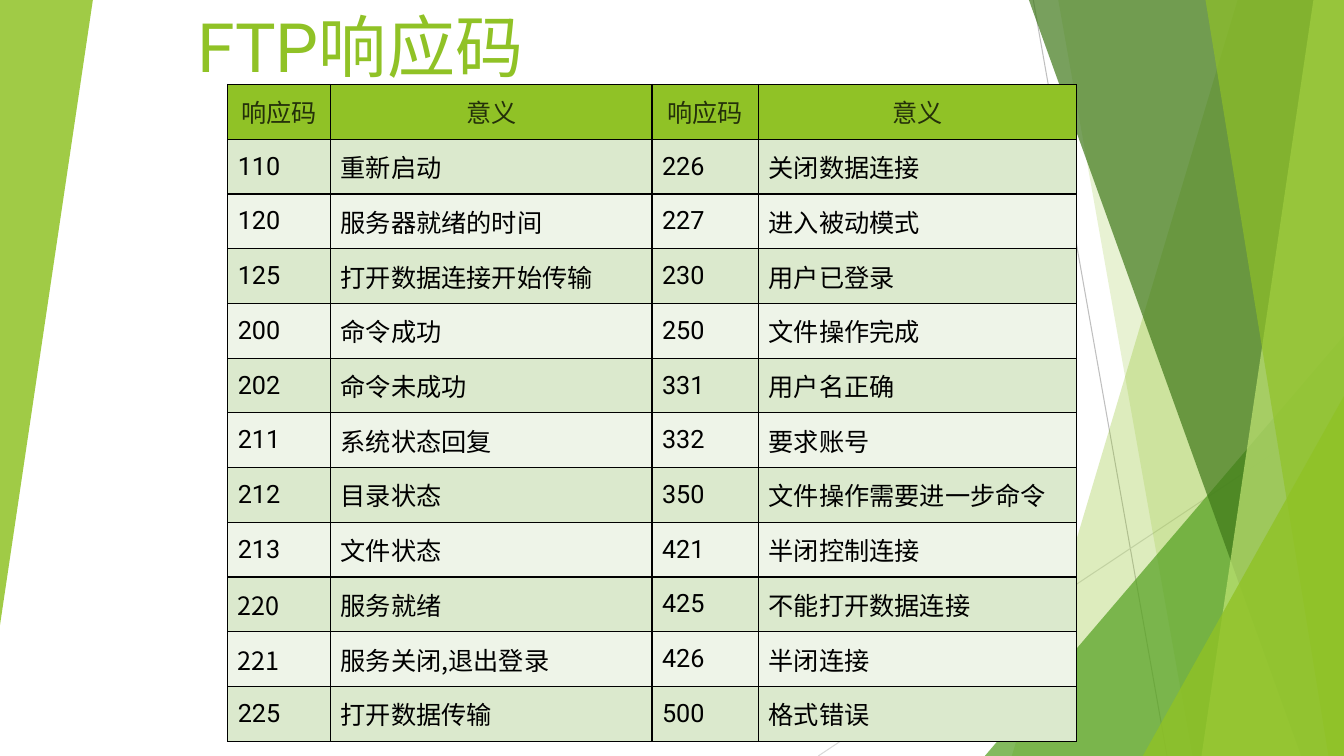
"""Build the FTP response code slide."""
import pptx
import pptx.dml.color
import pptx.enum.shapes
import pptx.enum.text
import pptx.oxml
import pptx.oxml.ns
import pptx.util
from pptx.util import Cm

COLORS = {
    "lime": "90C226", "leaf": "54A021", "forest": "3F7819", "pale": "C0E474",
    "header_text": "24300A", "black": "000000", "odd_row": "DBE9CD",
    "even_row": "EEF4E8", "gray": "BFBFBF", "light_gray": "D9D9D9",
}
LATIN, CHINESE = "Roboto", "Noto Sans CJK SC"
WIDTH, HEIGHT = 33.87, 19.05
ALIGN = pptx.enum.text.PP_ALIGN
MIDDLE = pptx.enum.text.MSO_ANCHOR.MIDDLE


def rgb(color):
    return pptx.dml.color.RGBColor.from_string(COLORS[color])


def element(tag, content="", attributes=""):
    return pptx.oxml.parse_xml(
        f'<a:{tag} {pptx.oxml.ns.nsdecls("a")} {attributes}>{content}</a:{tag}>')


def write(frame, text, size=18, color="black", font=LATIN, align=ALIGN.LEFT):
    paragraph = frame.paragraphs[0]
    paragraph.alignment = align
    run = paragraph.add_run()
    run.text = text
    run.font.size = pptx.util.Pt(size)
    run.font.name = font
    run.font.color.rgb = rgb(color)
    run.font._element.append(element("ea", attributes=f'typeface="{CHINESE}"'))


class SlideBuilder:
    def __init__(self, slide):
        self.slide = slide
        self.shapes = slide.shapes

    def paint(self, shape, color, opacity):
        shape.shadow.inherit = False
        shape.fill.solid()
        shape.fill.fore_color.rgb = rgb(color)
        shape.line.fill.background()
        shade = shape._element.spPr.find(".//" + pptx.oxml.ns.qn("a:srgbClr"))
        shade.append(element("alpha", attributes=f'val="{opacity * 1000}"'))

    def line(self, start, end, color):
        connector = self.shapes.add_connector(
            pptx.enum.shapes.MSO_CONNECTOR.STRAIGHT, *map(Cm, start + end))
        connector.line.color.rgb = rgb(color)
        connector.line.width = pptx.util.Pt(0.75)
        connector._element.spPr.append(element("effectLst"))

    def ribbon(self, top_x, bottom_x, color, opacity):
        outline = self.shapes.build_freeform(Cm(top_x), 0)
        corners = [(WIDTH, 0), (WIDTH, HEIGHT), (bottom_x, HEIGHT)]
        outline.add_line_segments([(Cm(x), Cm(y)) for x, y in corners])
        self.paint(outline.convert_to_shape(), color, opacity)

    def triangle(self, left, top, width, height, color, opacity, rotation=0):
        shape = self.shapes.add_shape(
            pptx.enum.shapes.MSO_SHAPE.ISOSCELES_TRIANGLE,
            Cm(left), Cm(top), Cm(width), Cm(height))
        shape.adjustments[0] = 1
        shape.rotation = rotation
        self.paint(shape, color, opacity)

    def corner_triangle(self, left, top, color, opacity):
        self.triangle(left, top, WIDTH - left, HEIGHT - top, color, opacity)

    def title(self, text, left, top, width, height):
        frame = self.shapes.add_textbox(
            Cm(left), Cm(top), Cm(width), Cm(height)).text_frame
        frame.word_wrap = True
        frame.vertical_anchor = MIDDLE
        frame.margin_top, frame.margin_bottom = Cm(0.51), 0
        write(frame, text, size=48.6, color="lime")

    def cell(self, cell, text, fill, **style):
        cell.vertical_anchor = MIDDLE
        properties = cell._tc.get_or_add_tcPr()
        for side in "LRTB":
            ink = f'<a:solidFill><a:srgbClr val="{COLORS["black"]}"/></a:solidFill>'
            properties.append(element("ln" + side, ink, 'w="12700"'))
        cell.fill.solid()
        cell.fill.fore_color.rgb = rgb(fill)
        write(cell.text_frame, text, **style)

    def table(self, header, rows, left, top, widths, row_height):
        table = self.shapes.add_table(
            len(rows) + 1, len(widths), Cm(left), Cm(top),
            Cm(sum(widths)), Cm(row_height * (len(rows) + 1))).table
        for column, width in zip(table.columns, widths):
            column.width = Cm(width)
        for row in table.rows:
            row.height = Cm(row_height)
        for c, text in enumerate(header):
            self.cell(table.cell(0, c), text, "lime",
                      color="header_text", align=ALIGN.CENTER)
        for r, row in enumerate(rows, 1):
            for c, text in enumerate(row):
                chinese = c % 2 or text in ("220", "221")
                self.cell(table.cell(r, c), text, "odd_row" if r % 2 else "even_row",
                          font=CHINESE if chinese else LATIN)


RESPONSES = [
    ("110", "重新启动", "226", "关闭数据连接"),
    ("120", "服务器就绪的时间", "227", "进入被动模式"),
    ("125", "打开数据连接开始传输", "230", "用户已登录"),
    ("200", "命令成功", "250", "文件操作完成"),
    ("202", "命令未成功", "331", "用户名正确"),
    ("211", "系统状态回复", "332", "要求账号"),
    ("212", "目录状态", "350", "文件操作需要进一步命令"),
    ("213", "文件状态", "421", "半闭控制连接"),
    ("220", "服务就绪", "425", "不能打开数据连接"),
    ("221", "服务关闭,退出登录".replace(",", ","), "426", "半闭连接"),
    ("225", "打开数据传输", "500", "格式错误"),
]

presentation = pptx.Presentation()
presentation.slide_width, presentation.slide_height = Cm(WIDTH), Cm(HEIGHT)
builder = SlideBuilder(presentation.slides.add_slide(presentation.slide_layouts[6]))

builder.line((26.04, 0), (29.41, HEIGHT), "gray")
builder.line((WIDTH, 10.24), (20.62, HEIGHT), "light_gray")
builder.ribbon(31.19, 25.5, "lime", 30)
builder.ribbon(26.67, 30.05, "lime", 20)
builder.corner_triangle(24.82, 8.46, "leaf", 72)
builder.ribbon(25.93, 32.79, "forest", 70)
builder.ribbon(33.1, 30.28, "pale", 70)
builder.ribbon(30.38, 33.48, "lime", 65)
builder.corner_triangle(28.8, 9.98, "lime", 80)
builder.triangle(0, 0, 2.34, 15.75, "lime", 85, rotation=180)

builder.title("FTP响应码", 4.72, 0.05, 10.01, 1.68)
builder.table(("响应码", "意义") * 2, RESPONSES, 5.74, 2.13,
              (2.59, 8.1, 2.69, 8), 1.38)

presentation.save("out.pptx")
